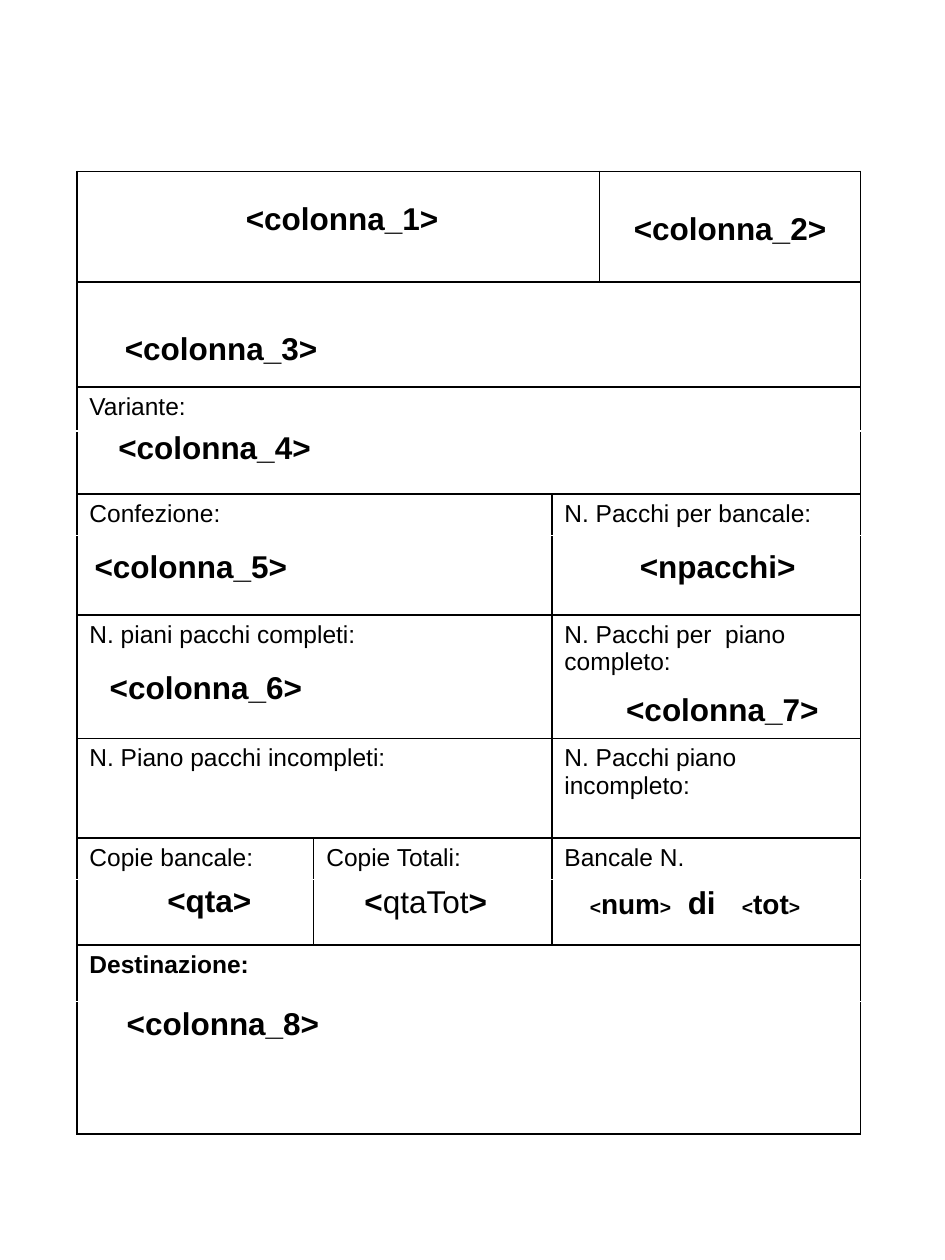
import pptx
import pptx.dml.color
import pptx.enum.text
import pptx.oxml.ns
import pptx.util
from lxml import etree

THEME = {
    "font": "Arial", "ink": "000000", "paper": "FFFFFF",
    "label": 14, "value": 18, "number": 16, "bracket": 11, "border": 1,
}
SLIDE_W, SLIDE_H = pptx.util.Inches(7.5), pptx.util.Inches(10)

# Lengths are percentages of the slide's width (x) or height (y).
TABLE_LEFT, TABLE_TOP = 8.13, 13.6
COLUMNS = [25.07, 25.2, 5.07, 27.6]

# Height, kind, cells as (column span, text). A "head" row has no line
# below it and the "body" row that follows has none above.
ROWS = [
    (8.8, "whole", [(3, ""), (1, "")]),
    (8.3, "whole", [(4, "")]),
    (3.5, "head", [(4, "Variante:")]),
    (5.0, "body", [(4, "")]),
    (3.3, "head", [(2, "Confezione:"), (2, "N. Pacchi per bancale:")]),
    (6.3, "body", [(2, ""), (2, "")]),
    (9.8, "whole", [(2, "N. piani pacchi completi:"), (2, "N. Pacchi per  piano completo:")]),
    (7.9, "whole", [(2, "N. Piano pacchi incompleti:"), (2, "N. Pacchi piano incompleto:")]),
    (3.3, "head", [(1, "Copie bancale:"), (1, "Copie Totali:"), (2, "Bancale N.")]),
    (5.2, "body", [(1, ""), (1, ""), (2, "di ")]),
    (4.5, "head", [(4, "Destinazione:")]),
    (10.5, "body", [(4, "")]),
]
BOLD_CELLS = {"di ", "Destinazione:"}
VALUE_CELLS = {"di "}

# Left, top, width, centred, runs as (text, theme size, bold)
FIELDS = [
    (8.8, 15.3, 54.8, True, [("<colonna_1>", "value", True)]),
    (63.6, 16.1, 27.3, True, [("<colonna_2>", "value", True)]),
    (11.9, 25.6, 27.5, False, [("<colonna_3>", "value", True)]),
    (11.2, 33.5, 76.7, False, [("<colonna_4>", "value", True)]),
    (8.7, 42.9, 52.4, False, [("<colonna_5>", "value", True)]),
    (62.3, 42.9, 27.3, True, [("<npacchi>", "value", True)]),
    (10.3, 52.5, 26.3, False, [("<colonna_6>", "value", True)]),
    (63.3, 54.3, 26.3, True, [("<colonna_7>", "value", True)]),
    (8.5, 69.4, 27.3, True, [("<qta>", "value", True)]),
    (32.1, 69.5, 25.9, True,
     [("<", "value", True), ("qtaTot", "value", False), (">", "value", True)]),
    (61.1, 69.9, 12, False,
     [("<", "bracket", True), ("num", "number", True), (">", "bracket", True)]),
    (77.2, 69.9, 10, False,
     [("<", "bracket", True), ("tot", "number", True), (">", "bracket", True)]),
    (12.1, 79.2, 76.7, False, [("<colonna_8>", "value", True)]),
]


def x(share):
    return round(SLIDE_W * share / 100)


def y(share):
    return round(SLIDE_H * share / 100)


def rgb(name):
    return pptx.dml.color.RGBColor.from_string(THEME[name])


def style_run(r, size, bold):
    r.font.name = THEME["font"]
    r.font.size = pptx.util.Pt(THEME[size])
    r.font.bold = bold
    r.font.color.rgb = rgb("ink")


def add_child(parent, tag, **attributes):
    return etree.SubElement(parent, pptx.oxml.ns.qn(tag), attributes)


def style_cell(cell, kind):
    """Draw the four borders, then the fill, which must follow them."""
    props = cell._tc.get_or_add_tcPr()
    hidden = {"head": "a:lnB", "body": "a:lnT"}.get(kind)
    for side in ("a:lnL", "a:lnR", "a:lnT", "a:lnB"):
        line = add_child(props, side, w=str(pptx.util.Pt(THEME["border"])))
        fill = add_child(line, "a:solidFill")
        add_child(fill, "a:srgbClr", val=THEME["paper" if side == hidden else "ink"])
    cell.fill.solid()
    cell.fill.fore_color.rgb = rgb("paper")


def fill_cell(cell, text):
    p = cell.text_frame.paragraphs[0]
    if not text:
        add_child(p._p, "a:endParaRPr", sz=str(THEME["label"] * 100))
        return
    p.text = text
    if text in VALUE_CELLS:
        p.alignment = pptx.enum.text.PP_ALIGN.CENTER
    style_run(p.runs[0], "value" if text in VALUE_CELLS else "label", text in BOLD_CELLS)


def add_form(slide):
    heights = [row[0] for row in ROWS]
    frame = slide.shapes.add_table(
        len(ROWS), len(COLUMNS), x(TABLE_LEFT), y(TABLE_TOP), x(sum(COLUMNS)), y(sum(heights)))
    table = frame.table
    table.first_row = table.horz_banding = False
    for column, width in zip(table.columns, COLUMNS):
        column.width = x(width)
    for i, (height, kind, cells) in enumerate(ROWS):
        table.rows[i].height = y(height)
        start = 0
        for span, text in cells:
            group = [table.cell(i, j) for j in range(start, start + span)]
            if span > 1:
                group[0].merge(group[-1])
            for k, cell in enumerate(group):
                style_cell(cell, kind)
                fill_cell(cell, text if k == 0 else "")
            start += span


def add_field(slide, left, top, width, centred, runs):
    height = 4 if runs[0][1] == "value" else 3.7
    tf = slide.shapes.add_textbox(x(left), y(top), x(width), y(height)).text_frame
    tf.word_wrap = True
    tf.auto_size = pptx.enum.text.MSO_AUTO_SIZE.SHAPE_TO_FIT_TEXT
    p = tf.paragraphs[0]
    if centred:
        p.alignment = pptx.enum.text.PP_ALIGN.CENTER
    for text, size, bold in runs:
        r = p.add_run()
        r.text = text
        style_run(r, size, bold)


def main():
    prs = pptx.Presentation()
    prs.slide_width, prs.slide_height = SLIDE_W, SLIDE_H
    slide = prs.slides.add_slide(prs.slide_layouts[6])
    add_form(slide)
    for field in FIELDS:
        add_field(slide, *field)
    prs.save("out.pptx")


if __name__ == "__main__":
    main()
